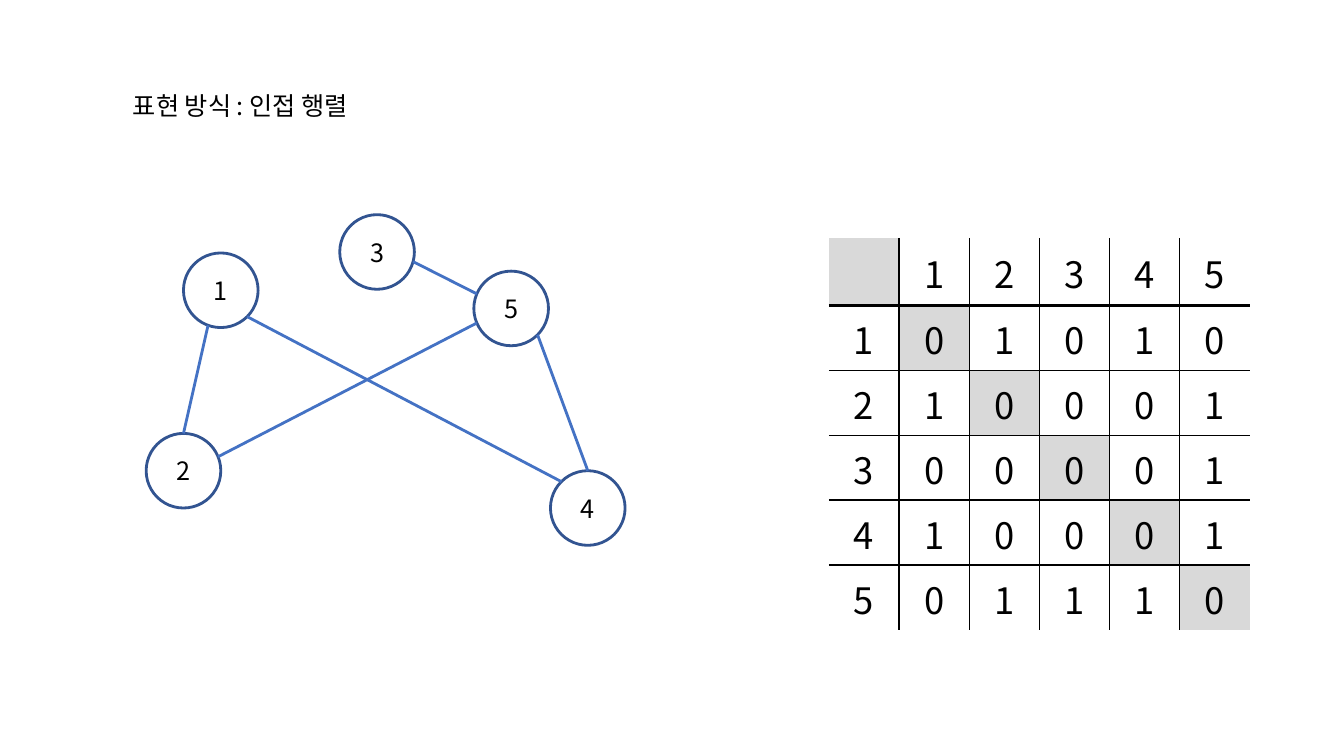
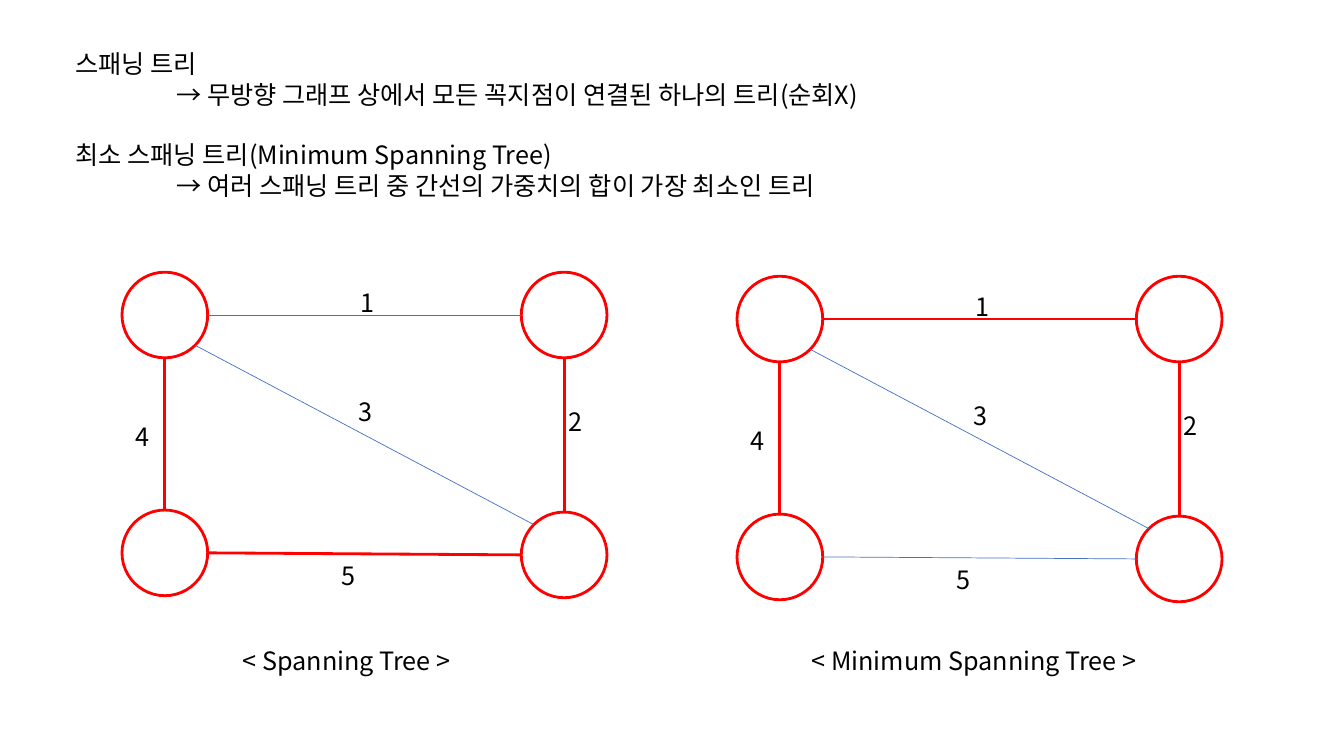
from math import cos, radians, sin

from lxml import etree
from pptx import Presentation
from pptx.dml.color import RGBColor
from pptx.enum.shapes import MSO_CONNECTOR, MSO_SHAPE
from pptx.enum.text import MSO_ANCHOR, PP_ALIGN
from pptx.oxml.ns import qn
from pptx.util import Inches, Pt

STRAIGHT = MSO_CONNECTOR.STRAIGHT
OVAL = MSO_SHAPE.OVAL
MIDDLE = MSO_ANCHOR.MIDDLE
LEFT, CENTER = PP_ALIGN.LEFT, PP_ALIGN.CENTER

FONT = "Noto Sans CJK KR"
TEXT_SIZE, LINE_PITCH = 18, 21.7
BLACK, WHITE, GRAY = "000000", "FFFFFF", "D9D9D9"
NAVY, BLUE, RED = "325491", "4472C4", "FF0000"

# Angles run clockwise in degrees from the right-hand side of a node.
NODE_SIZE = 0.74
NODES = {"1": (1.82, 2.51), "2": (1.45, 4.3), "3": (3.37, 2.13),
         "4": (5.46, 4.67), "5": (4.7, 2.69)}
EDGES = [("1", 110, "2", 270), ("1", 45, "4", 225), ("2", -22, "5", 157),
         ("3", 15, "5", 203), ("5", 45, "4", 270)]

TREE_NODE_SIZE = 0.85
TREE_NODES = {"top left": (0, 0), "bottom left": (0, 2.36),
              "bottom right": (3.96, 2.38), "top right": (3.96, 0)}
# weight: (edge, offset of the weight's label)
TREE_EDGES = {
    1: (("top left", 0, "top right", 180), (2.27, 0.1)),
    4: (("top left", 90, "bottom left", 270), (0.04, 1.43)),
    5: (("bottom left", 0, "bottom right", 180), (2.08, 2.81)),
    2: (("top right", 90, "bottom right", 270), (4.33, 1.28)),
    3: (("top left", 45, "bottom right", 225), (2.25, 1.18)),
}

TABLE_LEFT, TABLE_TOP, TABLE_WIDTH, TABLE_HEIGHT = 8.22, 2.36, 4.18, 3.89
HEADER_HEIGHT = 0.67
THICK, THIN = 2.25, 1


def color(value):
    return RGBColor.from_string(value)


def style(para, size=TEXT_SIZE, align=LEFT):
    para.alignment = align
    font = para.font
    font.size = Pt(size)
    font.color.rgb = color(BLACK)
    font.name = FONT
    defaults = para._p.pPr.find(qn("a:defRPr"))
    etree.SubElement(defaults, qn("a:ea"), typeface=FONT)


def add_text(shapes, left, top, width, lines):
    """Add a text box; each line is (text, indent in inches, space before in points)."""
    box = shapes.add_textbox(*map(Inches, (left, top, width, 0.4)))
    frame = box.text_frame
    frame.word_wrap = True
    for index, (text, indent, space) in enumerate(lines):
        para = frame.add_paragraph() if index else frame.paragraphs[0]
        para.text = text
        style(para)
        para.line_spacing = Pt(LINE_PITCH)
        para.space_before = Pt(space)
        if indent:
            para._p.pPr.set("marL", str(Inches(indent)))


def add_label(shapes, left, top, text, width=0.4):
    add_text(shapes, left, top, width, [(text, 0, 0)])


def add_node(shapes, position, size, line, text=""):
    node = shapes.add_shape(OVAL, *map(Inches, (*position, size, size)))
    node.shadow.inherit = False
    node.fill.background()
    node.line.color.rgb = color(line)
    node.line.width = Pt(2)
    if text:
        node.text_frame.vertical_anchor = MIDDLE
        para = node.text_frame.paragraphs[0]
        para.text = text
        style(para, align=CENTER)
        para.line_spacing = Pt(LINE_PITCH)


def rim_point(position, size, angle):
    radius = size / 2
    return (Inches(position[0] + radius + radius * cos(radians(angle))),
            Inches(position[1] + radius + radius * sin(radians(angle))))


def add_edge(shapes, nodes, size, edge, line, width):
    start, start_angle, end, end_angle = edge
    connector = shapes.add_connector(
        STRAIGHT, *rim_point(nodes[start], size, start_angle),
        *rim_point(nodes[end], size, end_angle))
    connector.line.color.rgb = color(line)
    connector.line.width = Pt(width)
    etree.SubElement(connector._element.spPr, qn("a:effectLst"))


def add_border(cell, side, width):
    """Draw one side of a cell, or clear it when width is 0."""
    line = etree.SubElement(cell._tc.get_or_add_tcPr(), qn(f"a:ln{side}"),
                            w=str(Pt(width)))
    if width:
        fill = etree.SubElement(line, qn("a:solidFill"))
        etree.SubElement(fill, qn("a:srgbClr"), val=BLACK)
    else:
        etree.SubElement(line, qn("a:noFill"))


def rule_width(index, count):
    """Width of the rule before a row or column; the table has no outer rules."""
    if index in (0, count):
        return 0
    return THICK if index == 1 else THIN


def add_matrix(shapes):
    names = list(NODES)
    links = {frozenset((start, end)) for start, _, end, _ in EDGES}
    values = [["", *names]] + [
        [row, *(str(int(frozenset((row, column)) in links)) for column in names)]
        for row in names]
    count = len(values)
    table = shapes.add_table(count, count, *map(
        Inches, (TABLE_LEFT, TABLE_TOP, TABLE_WIDTH, TABLE_HEIGHT))).table
    body_height = (TABLE_HEIGHT - HEADER_HEIGHT) / (count - 1)
    for index in range(count):
        table.columns[index].width = Inches(TABLE_WIDTH / count)
        table.rows[index].height = Inches(body_height if index else HEADER_HEIGHT)
    for row, texts in enumerate(values):
        for column, text in enumerate(texts):
            cell = table.cell(row, column)
            cell.margin_left = cell.margin_right = cell.margin_top = Inches(0.02)
            cell.margin_bottom = 0
            cell.vertical_anchor = MIDDLE
            for side, index in (("L", column), ("R", column + 1),
                                ("T", row), ("B", row + 1)):
                add_border(cell, side, rule_width(index, count))
            cell.fill.solid()
            cell.fill.fore_color.rgb = color(GRAY if row == column else WHITE)
            para = cell.text_frame.paragraphs[0]
            para.text = text
            style(para, 26, CENTER)


def add_tree(page, left, top, tree_weights):
    """Draw the weighted graph with the edges of one tree in red."""
    shapes = page.shapes.add_group_shape().shapes
    nodes = {name: (left + x, top + y) for name, (x, y) in TREE_NODES.items()}
    for position in nodes.values():
        add_node(shapes, position, TREE_NODE_SIZE, RED)
    for weight, (edge, (x, y)) in TREE_EDGES.items():
        line, width = (RED, 2) if weight in tree_weights else (BLUE, 0.5)
        add_edge(shapes, nodes, TREE_NODE_SIZE, edge, line, width)
        add_label(shapes, left + x, top + y, str(weight))


def build_matrix_page(page):
    add_matrix(page.shapes)
    add_label(page.shapes, 1.22, 0.85, "표현 방식 : 인접 행렬", 3)
    graph = page.shapes.add_group_shape().shapes
    for name, position in NODES.items():
        add_node(graph, position, NODE_SIZE, NAVY, name)
    for edge in EDGES:
        add_edge(graph, NODES, NODE_SIZE, edge, BLUE, 2)


def build_tree_page(page):
    add_text(page.shapes, 0.65, 0.43, 9, [
        ("스패닝 트리", 0, 0),
        ("→ 무방향 그래프 상에서 모든 꼭지점이 연결된 하나의 트리(순회X)", 1, 0),
        ("최소 스패닝 트리(Minimum Spanning Tree)", 0, LINE_PITCH),
        ("→ 여러 스패닝 트리 중 간선의 가중치의 합이 가장 최소인 트리", 1, 0),
    ])
    add_tree(page, 1.21, 2.7, {2, 4, 5})
    add_tree(page, 7.31, 2.74, {1, 2, 4})
    add_label(page.shapes, 2.31, 6.35, "< Spanning Tree >", 2.6)
    add_label(page.shapes, 7.95, 6.35, "< Minimum Spanning Tree >", 3.8)


def main():
    deck = Presentation()
    deck.slide_width, deck.slide_height = Inches(13.33), Inches(7.5)
    blank = deck.slide_layouts[6]
    for build in (build_matrix_page, build_tree_page):
        build(deck.slides.add_slide(blank))
    deck.save("out.pptx")


if __name__ == "__main__":
    main()
